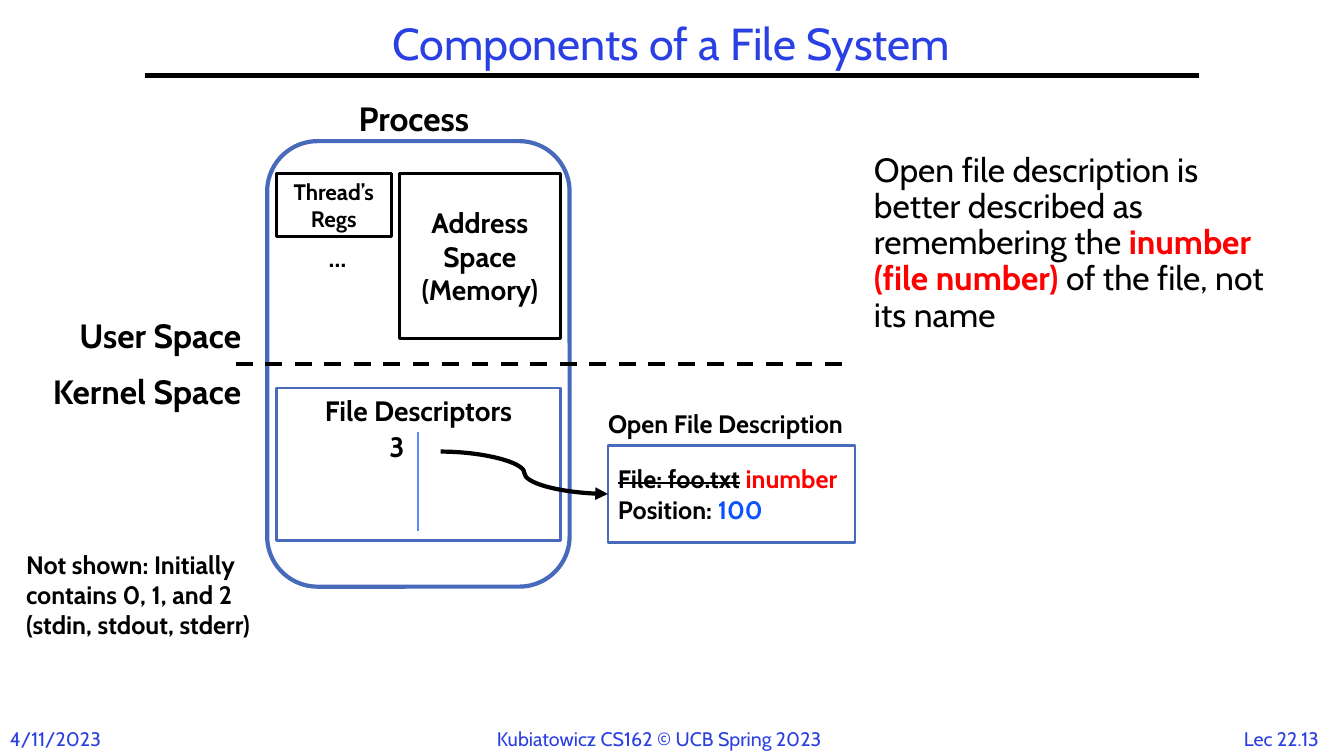
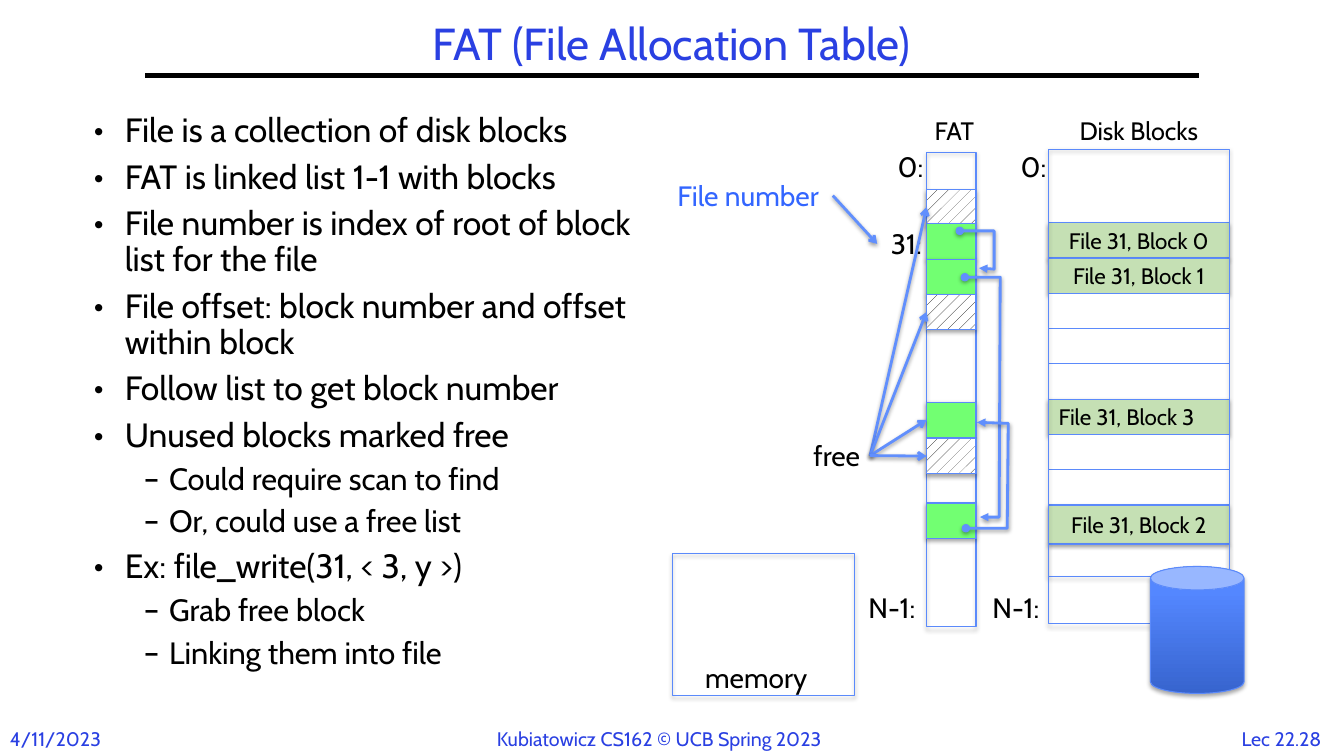
from lxml import etree
from pptx import Presentation
from pptx.dml.color import RGBColor
from pptx.enum.dml import MSO_LINE, MSO_PATTERN
from pptx.enum.shapes import MSO_CONNECTOR, MSO_SHAPE
from pptx.enum.text import MSO_ANCHOR, PP_ALIGN
from pptx.oxml.ns import qn
from pptx.util import Inches, Pt

RECT, ROUND, CAN = MSO_SHAPE.RECTANGLE, MSO_SHAPE.ROUNDED_RECTANGLE, MSO_SHAPE.CAN
STRAIGHT, CURVE = MSO_CONNECTOR.STRAIGHT, MSO_CONNECTOR.CURVE
LEFT, CENTER, RIGHT = PP_ALIGN.LEFT, PP_ALIGN.CENTER, PP_ALIGN.RIGHT
TOP, MIDDLE = MSO_ANCHOR.TOP, MSO_ANCHOR.MIDDLE
LEFT_SIDE, RIGHT_SIDE = 1, 3

# Shared look
FONT = "Cabin"
BLACK, WHITE, RED = "000000", "FFFFFF", "FF0000"
TITLE_BLUE, FRAME_BLUE, GRID_BLUE = "2A40E2", "486ABB", "5B8AFB"
ARROW_BLUE, NUMBER_BLUE, POSITION_BLUE = "618FFD", "3366FF", "0B52FC"
FAT_GREEN, DISK_GREEN = "72FF72", "C5E0B4"
CAN_DARK, CAN_LIGHT = "3764CE", "5487FF"
HATCH = "hatch"
DATE, COURSE = "4/11/2023", "Kubiatowicz CS162 © UCB Spring 2023"

# Slide 1 content
DESCRIPTION_NOTE = [[
    ("Open file description is better described as remembering the ", {}),
    ("inumber (file number)", {"bold": True, "color": RED}),
    (" of the file, not its name", {}),
]]
OPEN_FILE = [
    [("File: foo.txt", {"strike": True}), (" ", {}), ("inumber", {"color": RED})],
    [("Position: ", {}), ("100", {"color": POSITION_BLUE})],
]
PROCESS_LABELS = [  # text, box, size, alignment
    ("User Space", (0.45, 3.08, 2.04, 0.5), 24, RIGHT),
    ("Kernel Space", (0.15, 3.63, 2.34, 0.5), 24, RIGHT),
    ("3", (3.75, 4.21, 0.36, 0.44), 20, RIGHT),
    ("Open File Description", (5.79, 4, 2.81, 0.4), 18, CENTER),
    ("Process", (3.35, 0.92, 1.51, 0.5), 24, CENTER),
    ("…", (3.16, 2.35, 0.45, 0.4), 18, LEFT),
]
PROCESS_PARTS = [  # text, box, size, line colour, anchor
    ("Address Space (Memory)", (3.96, 1.72, 1.6, 1.64), 20, BLACK, MIDDLE),
    ("Thread’s Regs", (2.74, 1.72, 1.14, 0.63), 16, BLACK, MIDDLE),
    ("File Descriptors", (2.74, 3.85, 2.82, 1.51), 20, FRAME_BLUE, TOP),
]
NOT_SHOWN = "Not shown: Initially contains 0, 1, and 2 (stdin, stdout, stderr)"

# Slide 2 content
BULLETS = [  # level, text
    (0, "File is a collection of disk blocks"),
    (0, "FAT is linked list 1-1 with blocks"),
    (0, "File number is index of root of block list for the file"),
    (0, "File offset: block number and offset within block"),
    (0, "Follow list to get block number"),
    (0, "Unused blocks marked free"),
    (1, "Could require scan to find"),
    (1, "Or, could use a free list"),
    (0, "Ex: file_write(31, < 3, y >)"),
    (1, "Grab free block"),
    (1, "Linking them into file"),
]
BULLET_LEVELS = [("•", 0.31, 0.31, 24), ("–", 0.75, 0.25, 22)]  # mark, margin, hang, size
FAT_LABELS = [  # text, box, size
    ("Disk Blocks", (10.44, 1.09, 1.71, 0.4), 18),
    ("FAT", (9.09, 1.09, 0.75, 0.4), 18),
    ("N-1:", (9.65, 5.81, 0.85, 0.44), 20),
    ("0:", (9.95, 1.43, 0.6, 0.44), 20),
    ("0:", (8.73, 1.43, 0.6, 0.44), 20),
    ("N-1:", (8.42, 5.81, 0.85, 0.44), 20),
    ("31:", (8.64, 2.2, 0.7, 0.44), 20),
    ("memory", (6.75, 6.5, 1.5, 0.44), 20),
]
FAT_LEFT, FAT_WIDTH, CELL = 9.19, 0.49, 0.35
FAT_CELLS = [  # top, fill, pointed at by "free"
    (1.88, HATCH, True),
    (2.22, FAT_GREEN, False),
    (2.57, FAT_GREEN, False),
    (2.92, HATCH, True),
    (3.99, FAT_GREEN, True),
    (4.35, HATCH, True),
    (4.99, FAT_GREEN, False),
]
FAT_LINKS = [
    [(9.52, 2.29), (9.86, 2.29), (9.86, 2.67), (9.71, 2.66)],
    [(9.57, 2.75), (9.92, 2.75), (9.91, 5.13), (9.72, 5.13)],
    [(9.58, 5.24), (9.99, 5.24), (10, 4.2), (9.69, 4.19)],
]
DISK_LEFT, DISK_WIDTH, DISK_TOP = 10.4, 1.79, 2.21
DISK_ROWS = ["File 31, Block 0", "File 31, Block 1", "", "", "",
             "File 31, Block 3", "", "", "File 31, Block 2"]


def rgb(value):
    return RGBColor.from_string(value)


def inches(values):
    return [Inches(value) for value in values]


def write(frame, paragraphs, size, color=BLACK, bold=False, align=LEFT,
          anchor=TOP, wrap=True, spacing=None):
    """Fill a frame with paragraphs, each a string or a list of (text, format) runs."""
    frame.word_wrap, frame.vertical_anchor = wrap, anchor
    for index, runs in enumerate(paragraphs):
        paragraph = frame.paragraphs[0] if index == 0 else frame.add_paragraph()
        paragraph.alignment = align
        if spacing:
            paragraph.line_spacing = spacing
        for text, changes in [(runs, {})] if isinstance(runs, str) else runs:
            run = paragraph.add_run()
            run.text = text
            style = {"name": FONT, "size": Pt(size), "bold": bold, "color": color, **changes}
            run.font.color.rgb = rgb(style.pop("color"))
            if style.pop("strike", False):
                run.font._element.set("strike", "sngStrike")
            for key, value in style.items():
                setattr(run.font, key, value)


def add_label(slide, box, paragraphs, size, **style):
    label = slide.shapes.add_textbox(*inches(box))
    write(label.text_frame, paragraphs, size, **style)
    return label


def cast_shadow(shape, alpha=35, blur=3.1, distance=1.8):
    properties = shape.element.spPr
    effects = properties.find(qn("a:effectLst"))
    if effects is None:
        effects = etree.SubElement(properties, qn("a:effectLst"))
    outer = etree.SubElement(effects, qn("a:outerShdw"), blurRad=str(Pt(blur)),
                             dist=str(Pt(distance)), dir="5400000", rotWithShape="0")
    color = etree.SubElement(outer, qn("a:srgbClr"), val=BLACK)
    etree.SubElement(color, qn("a:alpha"), val=str(alpha * 1000))


def set_line(shape, color, width):
    shape.line.color.rgb = rgb(color)
    shape.line.width = Pt(width)


def set_ends(shape, **ends):
    line = shape.element.spPr.find(qn("a:ln"))
    for end, kind in ends.items():
        etree.SubElement(line, qn("a:" + end), type=kind)


def add_box(slide, box, fill=None, line=GRID_BLUE, width=0.75, kind=RECT, shadow=False):
    shape = slide.shapes.add_shape(kind, *inches(box))
    if fill == HATCH:
        shape.fill.patterned()
        shape.fill.pattern = MSO_PATTERN.PERCENT_10
        shape.fill.fore_color.rgb, shape.fill.back_color.rgb = rgb(BLACK), rgb(WHITE)
    elif fill:
        shape.fill.solid()
        shape.fill.fore_color.rgb = rgb(fill)
    else:
        shape.fill.background()
    set_line(shape, line, width)
    shape.shadow.inherit = False
    if shadow:
        cast_shadow(shape)
    return shape


def add_line(slide, start, end, color, width, kind=STRAIGHT):
    line = slide.shapes.add_connector(kind, *inches(start + end))
    set_line(line, color, width)
    etree.SubElement(line.element.spPr, qn("a:effectLst"))
    return line


def add_arrow(slide, start, end):
    arrow = add_line(slide, start, end, ARROW_BLUE, 2)
    set_ends(arrow, tailEnd="arrow")
    cast_shadow(arrow, 38, 3.1, 1.6)
    return arrow


def start_slide(deck, title, number):
    slide = deck.slides.add_slide(deck.slide_layouts[6])
    add_line(slide, (1.44, 0.75), (11.89, 0.75), BLACK, 3)
    add_label(slide, (1.44, 0.17, 10.44, 0.58), [title], 32, color=TITLE_BLUE,
              align=CENTER, anchor=MIDDLE, spacing=0.9)
    for text, left, width, align in [(DATE, 0, 1.4, LEFT), (COURSE, 4.83, 3.68, LEFT),
                                     (number, 12.17, 1.08, CENTER)]:
        add_label(slide, (left, 7.16, width, 0.34), [text], 14, color=TITLE_BLUE,
                  align=align, wrap=False)
    return slide


def build_components(deck):
    slide = start_slide(deck, "Components of a File System", "Lec 22.13")
    add_label(slide, (8.57, 1.47, 4.26, 4.76), DESCRIPTION_NOTE, 24, spacing=0.9)

    # Process and the border between user and kernel space
    add_box(slide, (2.65, 1.4, 3, 4.42), line=FRAME_BLUE, width=3, kind=ROUND)
    border = add_line(slide, (2.34, 3.61), (8.36, 3.61), BLACK, 3)
    border.line.dash_style = MSO_LINE.DASH
    for text, box, size, line, anchor in PROCESS_PARTS:
        part = add_box(slide, box, WHITE, line, 2)
        write(part.text_frame, [text], size, bold=True, align=CENTER, anchor=anchor)
    add_line(slide, (4.15, 4.29), (4.15, 5.27), GRID_BLUE, 1.5)
    for text, box, size, align in PROCESS_LABELS:
        add_label(slide, box, [text], size, bold=True, align=align, wrap=False)
    add_label(slide, (0.16, 5.4, 2.69, 1.31), [NOT_SHOWN], 18, bold=True)

    # Open file description
    open_file = add_box(slide, (6.03, 4.42, 2.45, 0.96), WHITE, FRAME_BLUE, 2)
    write(open_file.text_frame, OPEN_FILE, 18, bold=True, anchor=MIDDLE)
    pointer = add_line(slide, (4.37, 4.48), (6.03, 4.9), BLACK, 3, CURVE)
    pointer.end_connect(open_file, LEFT_SIDE)
    set_ends(pointer, tailEnd="triangle")


def add_bullets(slide):
    frame = slide.shapes.add_textbox(*inches((0.83, 1.08, 5.63, 5.85))).text_frame
    frame.word_wrap = True
    for index, (level, text) in enumerate(BULLETS):
        mark, margin, hang, size = BULLET_LEVELS[level]
        paragraph = frame.paragraphs[0] if index == 0 else frame.add_paragraph()
        paragraph.text, paragraph.level = text, level
        properties = paragraph._p.get_or_add_pPr()
        properties.set("marL", str(Inches(margin)))
        properties.set("indent", str(-Inches(hang)))
        etree.SubElement(properties, qn("a:buFont"), typeface=FONT)
        etree.SubElement(properties, qn("a:buChar"), char=mark)
        paragraph.line_spacing = 0.9
        if index:
            paragraph.space_before = Pt(0.3 * size)
        paragraph.font.name, paragraph.font.size = FONT, Pt(size)
        paragraph.font.color.rgb = rgb(BLACK)


def build_fat(deck):
    slide = start_slide(deck, "FAT (File Allocation Table)", "Lec 22.28")
    add_bullets(slide)

    # Disk blocks, with the shorter one below the even rows
    for index, text in enumerate(DISK_ROWS):
        height = 0.38 if index == len(DISK_ROWS) - 1 else CELL
        row = add_box(slide, (DISK_LEFT, DISK_TOP + index * CELL, DISK_WIDTH, height),
                      DISK_GREEN if text else WHITE, shadow=bool(text))
        if text:
            write(row.text_frame, [text], 16, anchor=MIDDLE,
                  align=LEFT if text.endswith("3") else CENTER)
    add_box(slide, (DISK_LEFT, 5.4, DISK_WIDTH, 0.32), shadow=True)
    add_box(slide, (DISK_LEFT, 1.48, DISK_WIDTH, 4.71), shadow=True)

    # Table outline, memory and labels
    add_box(slide, (FAT_LEFT, 1.51, FAT_WIDTH, 4.71), shadow=True)
    add_box(slide, (6.67, 5.49, 1.81, 1.41), shadow=True)
    for text, box, size in FAT_LABELS:
        add_label(slide, box, [text], size, align=CENTER, wrap=False)
    file_number = add_label(slide, (6.58, 1.72, 1.68, 0.44), ["File number"], 20,
                            color=NUMBER_BLUE, align=CENTER, wrap=False)
    free = add_label(slide, (7.97, 4.3, 0.66, 0.44), ["free"], 20, wrap=False)

    # Disk
    disk = add_box(slide, (11.41, 5.62, 0.93, 1.26), WHITE, kind=CAN, shadow=True)
    disk.fill.gradient()
    disk.fill.gradient_angle = 90
    for stop, (position, color) in zip(disk.fill.gradient_stops,
                                       [(0, CAN_DARK), (0.8, CAN_LIGHT)]):
        stop.position, stop.color.rgb = position, rgb(color)

    # Table cells and the arrows to them
    cells = [(add_box(slide, (FAT_LEFT, top, FAT_WIDTH, CELL), fill, shadow=True), pointed)
             for top, fill, pointed in FAT_CELLS]
    for cell, pointed in cells:
        if pointed:
            arrow = add_arrow(slide, (8.63, 4.52), (FAT_LEFT, 4.52))
            arrow.begin_connect(free, RIGHT_SIDE)
            arrow.end_connect(cell, LEFT_SIDE)
    add_arrow(slide, (8.26, 1.94), (8.7, 2.42)).begin_connect(file_number, RIGHT_SIDE)

    # Links from each block of the file to the next
    for points in FAT_LINKS:
        start, *rest = [inches(point) for point in points]
        builder = slide.shapes.build_freeform(*start)
        builder.add_line_segments(rest, close=False)
        link = builder.convert_to_shape()
        link.fill.background()
        set_line(link, ARROW_BLUE, 2)
        set_ends(link, headEnd="oval", tailEnd="triangle")
        link.shadow.inherit = False
        cast_shadow(link, 38, 3.1, 1.6)


def main():
    deck = Presentation()
    deck.slide_width, deck.slide_height = inches((13.33, 7.5))
    build_components(deck)
    build_fat(deck)
    deck.save("out.pptx")


if __name__ == "__main__":
    main()
